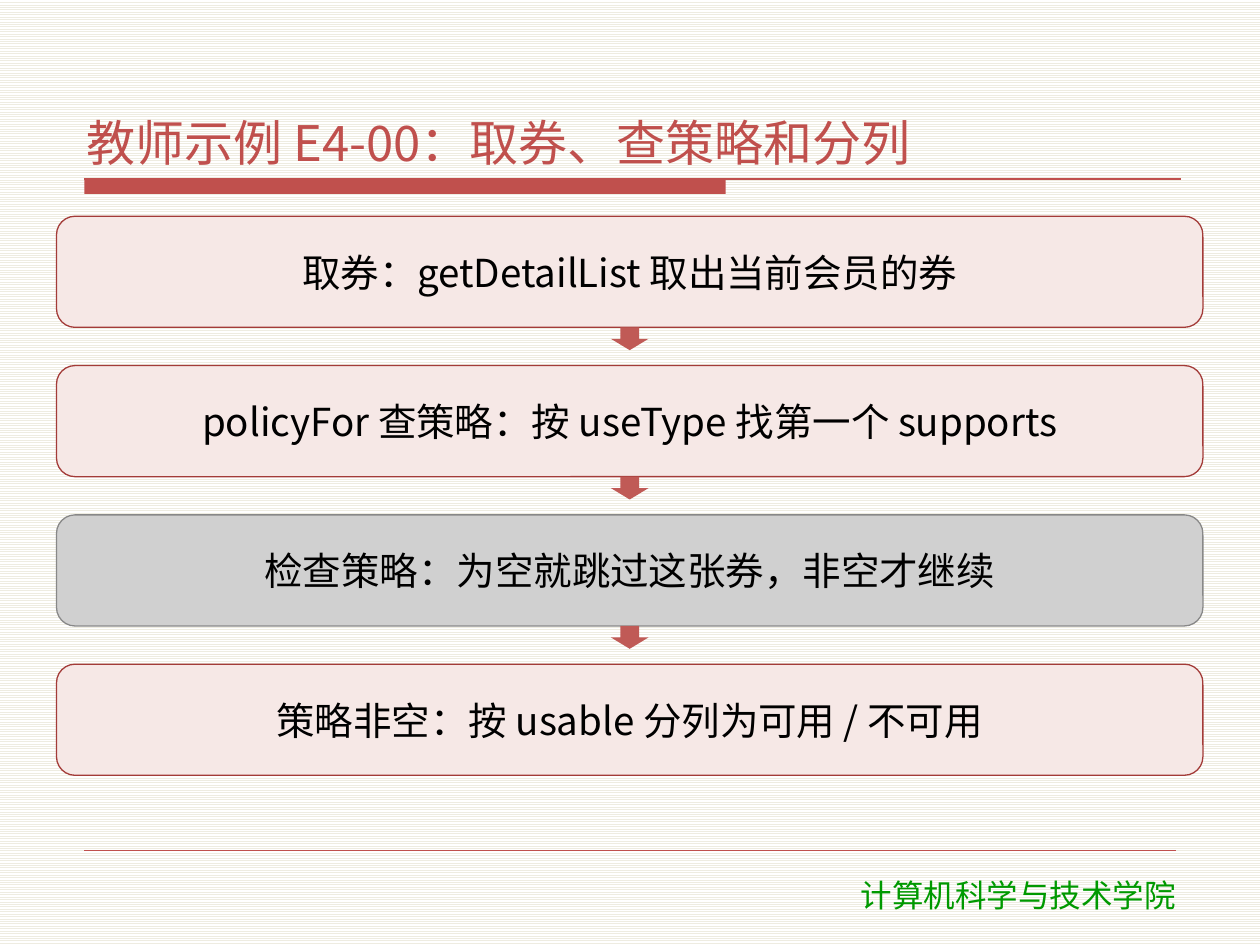
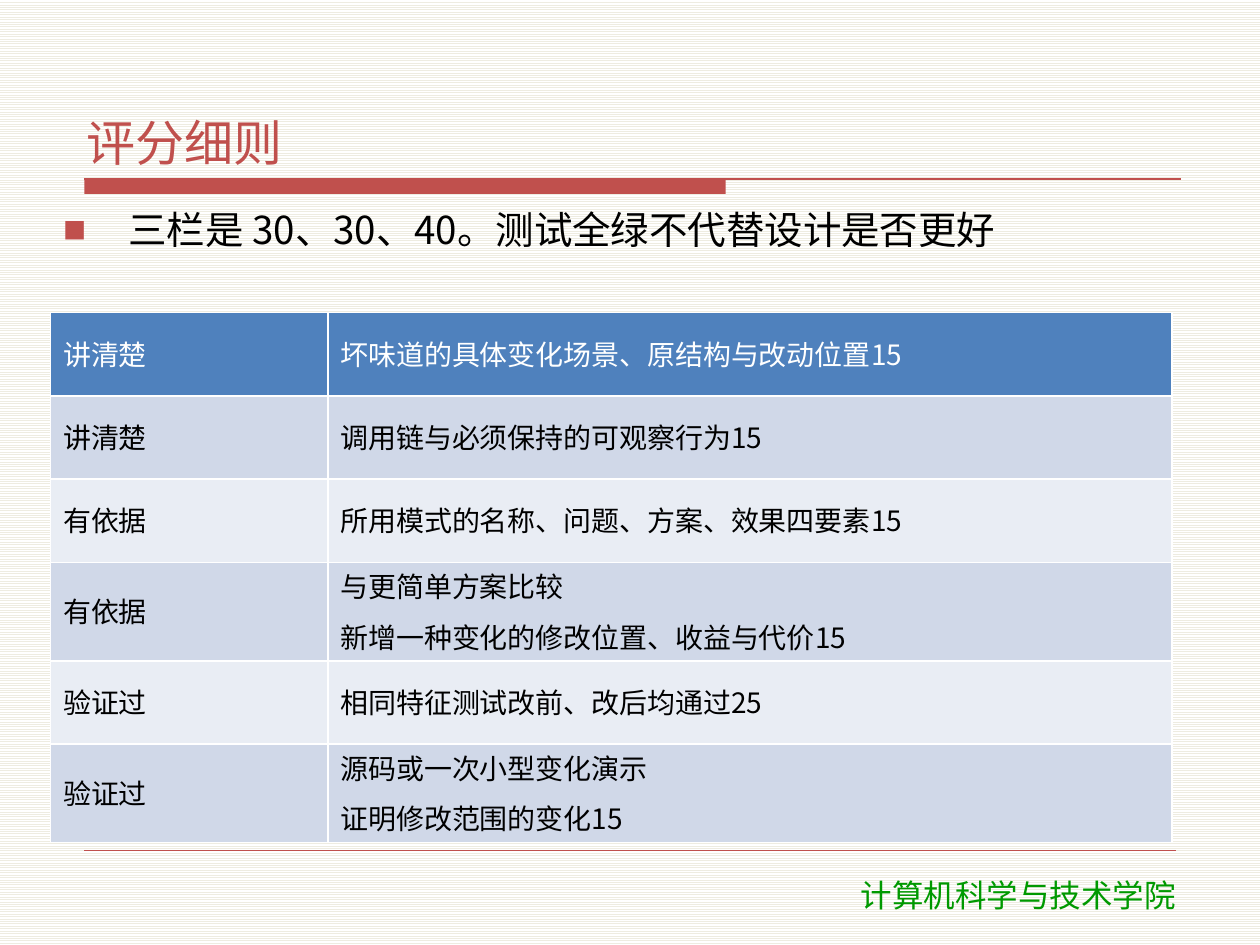
from dataclasses import dataclass

from lxml import etree
from pptx import Presentation
from pptx import util as u
from pptx.dml.color import RGBColor
from pptx.enum import dml, shapes, text
from pptx.oxml import ns

SANS = "Noto Sans CJK SC"
RED, BLACK, WHITE, GREEN = "C0504D", "000000", "FFFFFF", "009900"
ARROW_RED = "C05A56"
HEADER_BLUE, BAND_COLOURS = "4F81BD", ("D0D8E8", "E9EDF4")
RULE_LEFT = 1.7
TIGHT = dict(margin_left=u.Cm(0.15), margin_right=u.Cm(0.15),
             margin_top=u.Cm(0.05), margin_bottom=u.Cm(0.05))
CENTRED = text.PP_ALIGN.CENTER


@dataclass(frozen=True)
class Style:
    size: float
    colour: str = BLACK
    font: str = SANS
    align: text.PP_ALIGN = text.PP_ALIGN.LEFT
    before: float = 0
    after: float = 2
    spacing: float = 1.0


@dataclass(frozen=True)
class Step:
    label: str
    fill: str = "F6E8E6"
    line: str = "A33B38"


TITLE = Style(28, RED)
FOOTER = Style(18, GREEN, "DejaVu Sans", CENTRED, after=0)
STEP = Style(22, align=CENTRED)
BULLET = Style(22)
HEADER_CELL = Style(16, WHITE, before=6, spacing=0.9)
BODY_CELL = Style(16, before=6, spacing=0.9)

STEPS = [
    Step("取券：getDetailList 取出当前会员的券"),
    Step("policyFor 查策略：按 useType 找第一个 supports"),
    Step("检查策略：为空就跳过这张券，非空才继续", "D0D0D0", "888888"),
    Step("策略非空：按 usable 分列为可用 / 不可用"),
]
CRITERIA = [
    ("讲清楚", "坏味道的具体变化场景、原结构与改动位置15"),
    ("讲清楚", "调用链与必须保持的可观察行为15"),
    ("有依据", "所用模式的名称、问题、方案、效果四要素15"),
    ("有依据", "与更简单方案比较\n新增一种变化的修改位置、收益与代价15"),
    ("验证过", "相同特征测试改前、改后均通过25"),
    ("验证过", "源码或一次小型变化演示\n证明修改范围的变化15"),
]


def colour(value: str) -> RGBColor:
    return RGBColor.from_string(value)


def cm(*lengths: float) -> list:
    return [u.Cm(length) for length in lengths]


def apply(target, **values) -> None:
    for name, value in values.items():
        setattr(target, name, value)


def paint(target, value: str) -> None:
    target.fill.solid()
    target.fill.fore_color.rgb = colour(value)


def add_child(parent, tag: str, **attributes: str):
    return etree.SubElement(parent, ns.qn(tag), attributes)


def write(frame, content: str, style: Style) -> None:
    """Fill a text frame, one paragraph for each line of the content."""
    for index, line in enumerate(content.split("\n")):
        para = frame.add_paragraph() if index else frame.paragraphs[0]
        apply(para, alignment=style.align, line_spacing=style.spacing,
              space_before=u.Pt(style.before if index else 0),
              space_after=u.Pt(style.after))
        span = para.add_run()
        span.text = line
        apply(span.font, size=u.Pt(style.size), name=style.font, bold=False)
        span.font.color.rgb = colour(style.colour)
        add_child(span._r.get_or_add_rPr(), "a:ea", typeface=style.font)


def add_block(page, kind, place: list, fill: str, line: str = ""):
    """Add a flat preset shape, outlined only if a line colour is given."""
    block = page.shapes.add_shape(kind, *place)
    block.shadow.inherit = False
    paint(block, fill)
    if line:
        block.line.color.rgb = colour(line)
        block.line.width = u.Pt(0.75)
    else:
        block.line.fill.background()
    return block


def add_rule(page, right: float, top: float, width: float) -> None:
    rule = page.shapes.add_connector(
        shapes.MSO_CONNECTOR.STRAIGHT, *cm(RULE_LEFT, top, right, top))
    rule.line.color.rgb = colour(RED)
    rule.line.width = u.Pt(width)
    add_child(rule._element.spPr, "a:effectLst")


def add_page(deck, heading: str):
    """Add a slide with the shared title, band, rules and footer."""
    page = deck.slides.add_slide(deck.slide_layouts[5])
    add_block(page, shapes.MSO_SHAPE.RECTANGLE,
              cm(RULE_LEFT, 3.61, 12.93, 0.3), RED)
    add_rule(page, 23.8, 3.61, 0.75)
    add_rule(page, 23.7, 17.15, 0.25)
    footer = page.shapes.add_textbox(*cm(15.42, 17.53, 10.21, 1.02))
    footer.text_frame.word_wrap = True
    write(footer.text_frame, "计算机科学与技术学院", FOOTER)

    title = page.shapes.title
    left, top, width, height = cm(1.6, 0.84, 22.23, 2.67)
    apply(title, left=left, top=top, width=width, height=height)
    apply(title.text_frame, **TIGHT, word_wrap=True,
          auto_size=text.MSO_AUTO_SIZE.NONE,
          vertical_anchor=text.MSO_ANCHOR.BOTTOM)
    write(title.text_frame, heading, TITLE)
    return page


def add_steps(page) -> None:
    left, top, width, height, pitch = 1.14, 4.36, 23.11, 2.24, 3.01
    arrow_width, arrow_height = 0.76, 0.46
    for index, step in enumerate(STEPS):
        step_top = top + index * pitch
        if index:
            add_block(page, shapes.MSO_SHAPE.DOWN_ARROW,
                      cm(left + (width - arrow_width) / 2,
                         step_top - pitch + height,
                         arrow_width, arrow_height), ARROW_RED)
        box = add_block(page, shapes.MSO_SHAPE.ROUNDED_RECTANGLE,
                        cm(left, step_top, width, height),
                        step.fill, step.line)
        apply(box.text_frame, **TIGHT, word_wrap=True,
              vertical_anchor=text.MSO_ANCHOR.MIDDLE)
        write(box.text_frame, step.label, STEP)


def add_bullet(page, content: str) -> None:
    box = page.shapes.add_textbox(*cm(1.14, 4.11, 23.11, 1.98))
    apply(box.text_frame, **TIGHT, word_wrap=True)
    write(box.text_frame, content, BULLET)
    properties = box.text_frame.paragraphs[0]._p.get_or_add_pPr()
    indent = u.Cm(1.3)
    properties.set("marL", str(indent))
    properties.set("indent", str(-indent))
    add_child(add_child(properties, "a:buClr"), "a:srgbClr", val=RED)
    add_child(properties, "a:buSzPct", val="60000")
    add_child(properties, "a:buFont", typeface=SANS)
    add_child(properties, "a:buChar", char="■")


def add_borders(cell) -> None:
    properties = cell._tc.get_or_add_tcPr()
    for side in "LRTB":
        border = add_child(properties, f"a:ln{side}", w=str(u.Pt(1)))
        add_child(add_child(border, "a:solidFill"), "a:srgbClr", val=WHITE)


def add_criteria(page) -> None:
    widths, one_line, two_lines = (5.59, 17.02), 1.68, 1.98
    heights = [two_lines if "\n" in detail else one_line
               for _, detail in CRITERIA]
    table = page.shapes.add_table(
        len(CRITERIA), len(widths),
        *cm(1.02, 6.3, sum(widths), sum(heights))).table
    apply(table, first_row=False, horz_banding=False)
    for column, width in zip(table.columns, widths):
        column.width = u.Cm(width)
    for index, (row, contents) in enumerate(zip(table.rows, CRITERIA)):
        row.height = u.Cm(heights[index])
        fill = BAND_COLOURS[(index - 1) % 2] if index else HEADER_BLUE
        for cell, content in zip(row.cells, contents):
            add_borders(cell)
            paint(cell, fill)
            cell.vertical_anchor = text.MSO_ANCHOR.MIDDLE
            write(cell.text_frame, content,
                  BODY_CELL if index else HEADER_CELL)


def main() -> None:
    deck = Presentation()
    apply(deck, slide_width=u.Cm(25.4), slide_height=u.Cm(19.05))
    backdrop = deck.slide_master.background.fill
    backdrop.patterned()
    backdrop.pattern = dml.MSO_PATTERN.LIGHT_HORIZONTAL
    backdrop.fore_color.rgb = colour("EEECE1")
    backdrop.back_color.rgb = colour(WHITE)

    add_steps(add_page(deck, "教师示例 E4-00：取券、查策略和分列"))

    rubric = add_page(deck, "评分细则")
    add_bullet(rubric, "三栏是 30、30、40。测试全绿不代替设计是否更好")
    add_criteria(rubric)
    deck.save("out.pptx")


if __name__ == "__main__":
    main()
